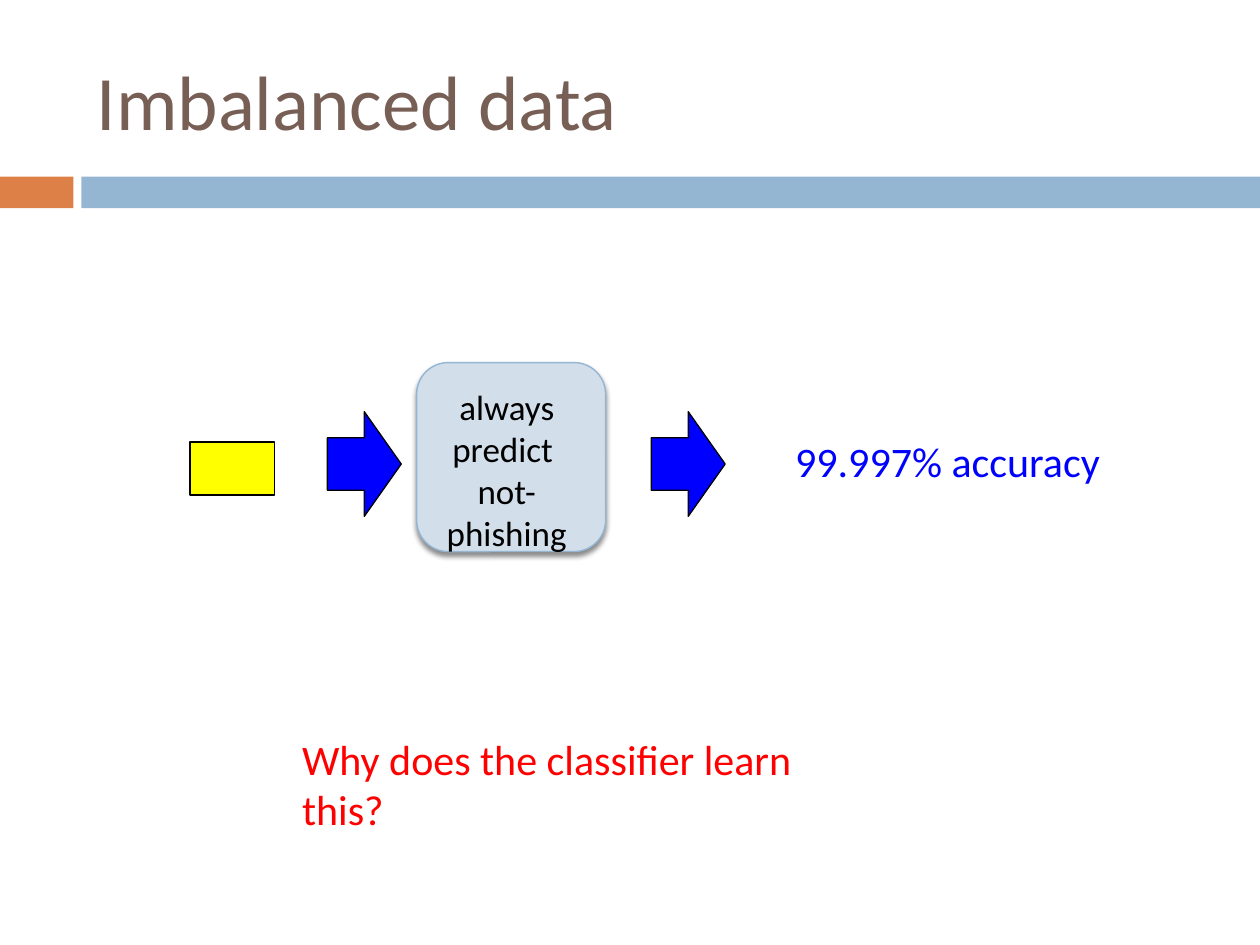
from lxml import etree
from pptx import Presentation
from pptx.dml.color import RGBColor
from pptx.enum.shapes import MSO_SHAPE
from pptx.enum.text import MSO_ANCHOR, PP_ALIGN
from pptx.oxml.ns import qn
from pptx.util import Cm, Pt

RECT, ROUNDED, ARROW = MSO_SHAPE.RECTANGLE, MSO_SHAPE.ROUNDED_RECTANGLE, MSO_SHAPE.RIGHT_ARROW
LEFT, CENTER = PP_ALIGN.LEFT, PP_ALIGN.CENTER
TOP, MIDDLE = MSO_ANCHOR.TOP, MSO_ANCHOR.MIDDLE
FONT = "Calibri"


def rgb(value):
    return RGBColor.from_string(value)


def write(sp, text, size=24, color="000000", align=LEFT, anchor=TOP, wrap=True):
    tf = sp.text_frame
    tf.word_wrap = wrap
    tf.vertical_anchor = anchor
    tf.text = text
    p = tf.paragraphs[0]
    p.alignment = align
    for r in p.runs:
        r.font.name = FONT
        r.font.size = Pt(size)
        r.font.color.rgb = rgb(color)


def add_text(s, x, y, w, h, text, **style):
    sp = s.shapes.add_textbox(Cm(x), Cm(y), Cm(w), Cm(h))
    write(sp, text, **style)


def add_block(s, kind, x, y, w, h, fill, line=None, width=0.75):
    sp = s.shapes.add_shape(kind, Cm(x), Cm(y), Cm(w), Cm(h))
    sp.shadow.inherit = False
    sp.fill.solid()
    sp.fill.fore_color.rgb = rgb(fill)
    if line:
        sp.line.color.rgb = rgb(line)
        sp.line.width = Pt(width)
    else:
        sp.line.fill.background()
    return sp


def add_shadow(sp, color, alpha, blur, dist, angle):
    effects = sp._element.spPr.find(qn("a:effectLst"))
    shadow = etree.SubElement(effects, qn("a:outerShdw"), blurRad=str(Pt(blur)),
                              dist=str(Pt(dist)), dir=str(angle * 60000), rotWithShape="0")
    clr = etree.SubElement(shadow, qn("a:srgbClr"), val=color)
    etree.SubElement(clr, qn("a:alpha"), val=str(alpha * 1000))


def add_header(s, x, y, w, title):
    accent, gap, bar_y, bar_h = 1.48, 0.16, 3.56, 0.64
    add_block(s, RECT, x, y + bar_y, accent, bar_h, "DD8047")
    add_block(s, RECT, x + accent + gap, y + bar_y, w - accent - gap, bar_h, "94B6D2")
    sp = s.shapes.title
    sp.left, sp.top, sp.width, sp.height = Cm(x + 1.7), Cm(y + 0.64), Cm(22.66), Cm(2.74)
    write(sp, title, size=44, color="775F55", anchor=MIDDLE)


def add_classifier(s, x, y, size, text):
    sp = add_block(s, ROUNDED, x, y, size, size, "D2DEEA", "94B6D2", 0.79)
    add_shadow(sp, "000000", alpha=45, blur=3, dist=2.4, angle=90)
    add_text(s, x - 0.18, y + 0.33, size + 0.18, 2.82, text, size=20, align=CENTER)


def add_pipeline(s, x, y, size):
    add_block(s, RECT, x, y + 1.6, 1.7, 1.07, "FFFF00", "000000")
    for dx in (2.77, 9.3):
        add_block(s, ARROW, x + dx, y + 0.99, 1.49, 2.11, "0000FF", "000000")
    add_classifier(s, x + 4.57, y, size, "always predict \vnot-phishing")
    add_text(s, x + 11.95, y + 1.35, 7.04, 1.27, "99.997% accuracy", color="0000FF", wrap=False)


def main():
    prs = Presentation()
    prs.slide_width, prs.slide_height = Cm(25.4), Cm(19.05)
    s = prs.slides.add_slide(prs.slide_layouts[5])
    add_header(s, 0, 0, 25.4, "Imbalanced data")
    add_pipeline(s, 3.83, 7.31, 3.81)
    add_text(s, 5.84, 14.66, 12.06, 1.27, "Why does the classifier learn this?", color="FF0000")
    prs.save("out.pptx")


if __name__ == "__main__":
    main()
